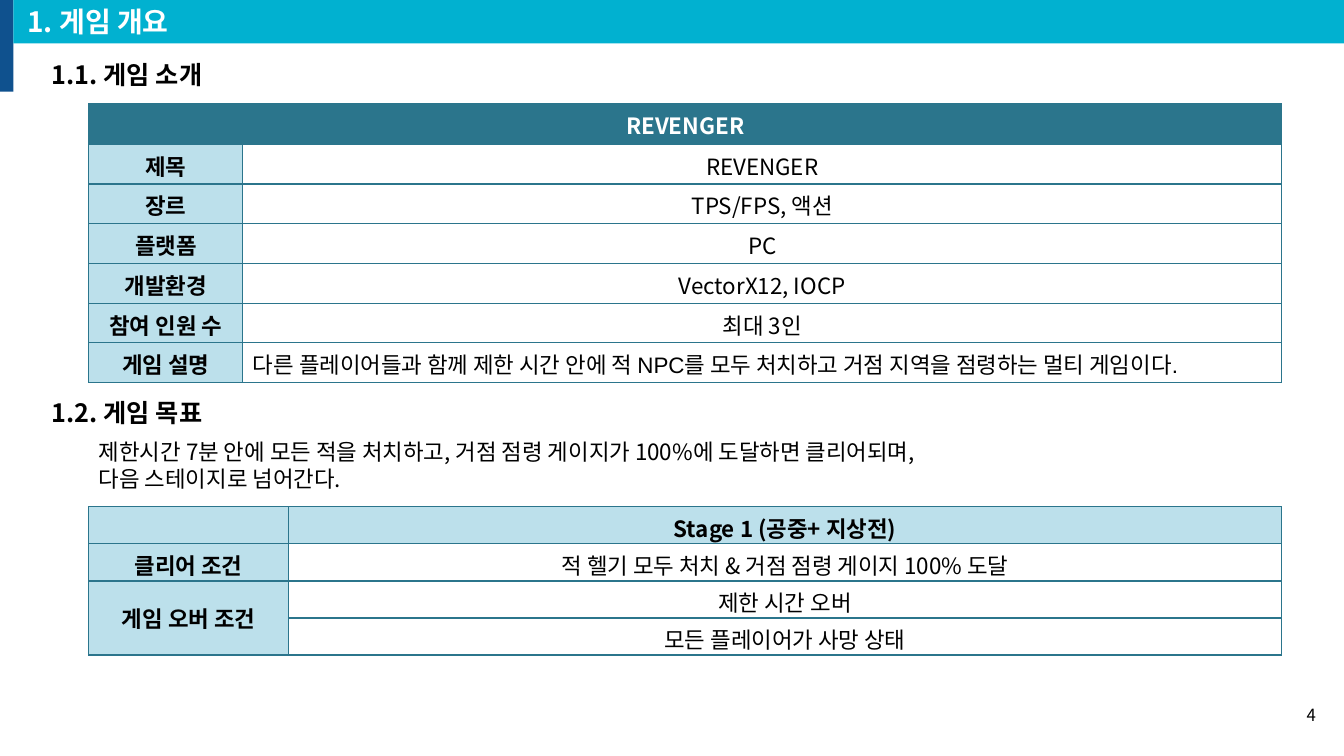
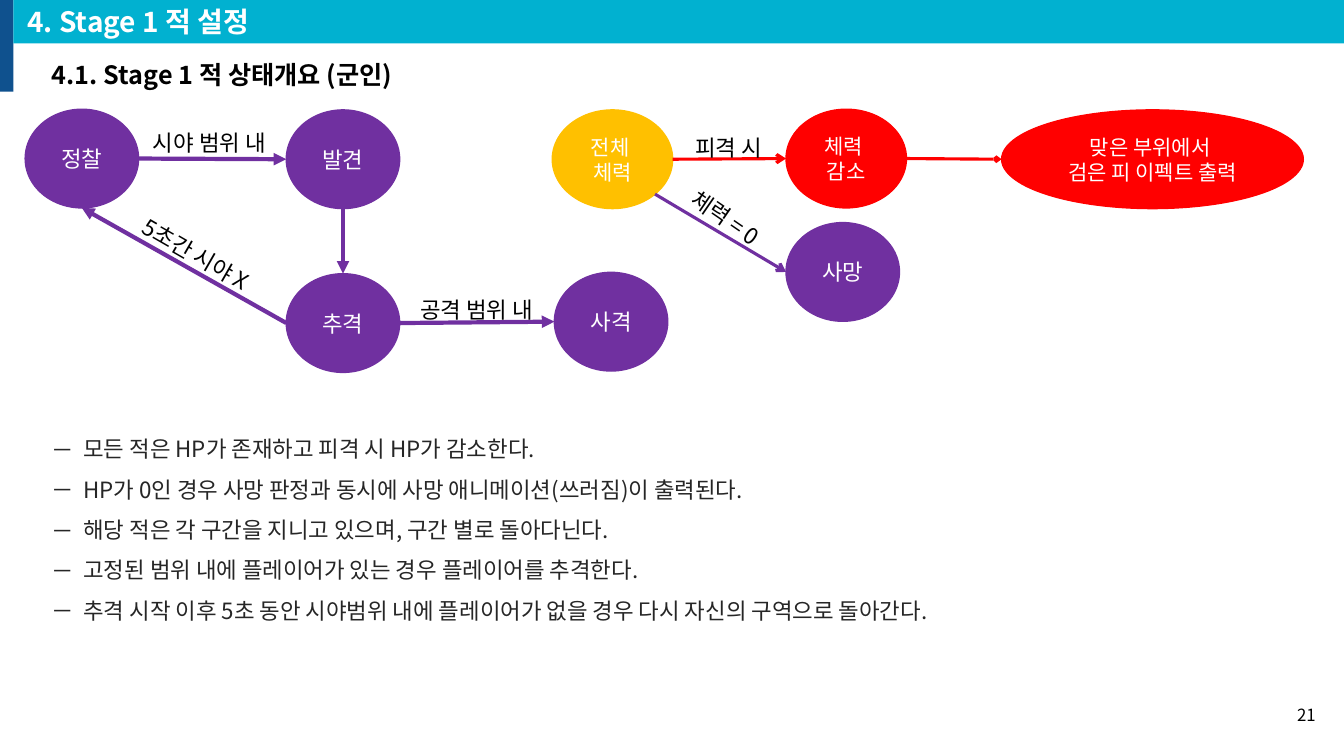
from dataclasses import dataclass
from math import sqrt
from typing import Optional

import lxml.etree
import pptx
import pptx.dml.color
import pptx.enum.shapes
import pptx.enum.text
import pptx.oxml.ns
import pptx.util

Pt = pptx.util.Pt
qn = pptx.oxml.ns.qn
ALIGN = pptx.enum.text.PP_ALIGN
ANCHOR = pptx.enum.text.MSO_ANCHOR
SHAPE = pptx.enum.shapes.MSO_SHAPE

FONT = "Noto Sans CJK KR"
COLORS = {
    "navy": "0F518E", "cyan": "01B1D0", "teal": "2B758C", "pale": "BCE0EB",
    "white": "FFFFFF", "black": "000000", "gray": "262626",
    "purple": "7030A0", "red": "FF0000", "amber": "FFC000",
}
WIDTH, HEIGHT = 960, 540
STRIPE_WIDTH = 9.5


@dataclass(frozen=True)
class Style:
    size: float = 16
    color: str = "black"
    bold: bool = False
    align: ALIGN = ALIGN.LEFT
    latin: str = FONT


@dataclass(frozen=True)
class Cell:
    text: str
    style: Style
    fill: str
    anchor: ANCHOR = ANCHOR.MIDDLE


@dataclass(frozen=True)
class Node:
    lines: tuple[str, ...]
    left: float
    top: float
    width: float = 81
    color: str = "purple"
    size: float = 16
    height: float = 70.5

    def point(self, side: str) -> tuple[float, float]:
        """Return a point on the outline of the ellipse."""
        diagonal = 1 / sqrt(2)
        x, y = {"left": (-1, 0), "right": (1, 0), "top": (0, -1), "bottom": (0, 1),
                "bottom right": (diagonal, diagonal)}[side]
        return (self.left + self.width * (1 + x) / 2,
                self.top + self.height * (1 + y) / 2)


@dataclass(frozen=True)
class Arrow:
    start: str
    start_side: str
    end: str
    end_side: str
    color: str = "purple"
    width: float = 3
    head: str = "triangle"
    head_size: str = "med"


@dataclass(frozen=True)
class Label:
    text: str
    left: float
    top: float
    width: float
    rotation: float = 0


TITLE = Style(20, "white", True)
HEADING = Style(18, bold=True)
BODY = Style()
CENTERED = Style(align=ALIGN.CENTER)
STRONG = Style(bold=True, align=ALIGN.CENTER)
TABLE_TITLE = Style(color="white", bold=True, align=ALIGN.CENTER)


def rgb(name: str) -> pptx.dml.color.RGBColor:
    return pptx.dml.color.RGBColor.from_string(COLORS[name])


# Text
def format_paragraph(paragraph, style: Style) -> None:
    paragraph.alignment = style.align
    font = paragraph.font
    font.size, font.bold, font.name = Pt(style.size), style.bold, style.latin
    font.color.rgb = rgb(style.color)
    defaults = paragraph._p.pPr.find(qn("a:defRPr"))
    lxml.etree.SubElement(defaults, qn("a:ea"), typeface=FONT)


def add_dash(paragraph, indent: float) -> None:
    properties = paragraph._p.get_or_add_pPr()
    properties.set("marL", str(Pt(indent)))
    properties.set("indent", str(-Pt(indent)))
    lxml.etree.SubElement(properties, qn("a:buFont"), typeface=FONT)
    lxml.etree.SubElement(properties, qn("a:buChar"), char="－")


def write(frame, lines: tuple[str, ...], style: Style, dashed: bool = False) -> None:
    for index, line in enumerate(lines):
        paragraph = frame.add_paragraph() if index else frame.paragraphs[0]
        paragraph.text = line
        if dashed:
            add_dash(paragraph, 22.5)
            paragraph.line_spacing = 1.5
        format_paragraph(paragraph, style)


def add_text(slide, lines: tuple[str, ...], left: float, top: float, width: float,
             height: float, style: Style, dashed: bool = False):
    shape = slide.shapes.add_textbox(Pt(left), Pt(top), Pt(width), Pt(height))
    shape.text_frame.word_wrap = True
    write(shape.text_frame, lines, style, dashed)
    return shape


# Shapes
def add_filled(slide, kind: SHAPE, left: float, top: float, width: float,
               height: float, color: str, outlined: bool = False):
    shape = slide.shapes.add_shape(kind, Pt(left), Pt(top), Pt(width), Pt(height))
    shape.shadow.inherit = False
    shape.fill.solid()
    shape.fill.fore_color.rgb = rgb(color)
    if outlined:
        shape.line.color.rgb = rgb(color)
        shape.line.width = Pt(1)
    else:
        shape.line.fill.background()
    return shape


def add_node(slide, node: Node) -> None:
    shape = add_filled(slide, SHAPE.OVAL, node.left, node.top, node.width,
                       node.height, node.color, outlined=True)
    write(shape.text_frame, node.lines, Style(node.size, "white", align=ALIGN.CENTER))


def add_arrow(slide, arrow: Arrow, nodes: dict[str, Node]) -> None:
    start = nodes[arrow.start].point(arrow.start_side)
    end = nodes[arrow.end].point(arrow.end_side)
    connector = slide.shapes.add_connector(
        pptx.enum.shapes.MSO_CONNECTOR.STRAIGHT, *map(Pt, start + end))
    connector.line.color.rgb = rgb(arrow.color)
    connector.line.width = Pt(arrow.width)
    lxml.etree.SubElement(connector.line._get_or_add_ln(), qn("a:tailEnd"),
                          type=arrow.head, w=arrow.head_size, len=arrow.head_size)
    lxml.etree.SubElement(connector._element.spPr, qn("a:effectLst"))


# Tables
def format_cell(target, cell: Cell) -> None:
    properties = target._tc.get_or_add_tcPr()
    for edge in ("a:lnL", "a:lnR", "a:lnT", "a:lnB"):
        line = lxml.etree.SubElement(properties, qn(edge), w=str(Pt(1)))
        fill = lxml.etree.SubElement(line, qn("a:solidFill"))
        lxml.etree.SubElement(fill, qn("a:srgbClr"), val=COLORS["teal"])
    target.fill.solid()
    target.fill.fore_color.rgb = rgb(cell.fill)
    target.vertical_anchor = cell.anchor
    write(target.text_frame, (cell.text,), cell.style)


def add_table(slide, top: float, columns: list[float], heights: list[float],
              rows: list[tuple[Cell, Cell]]):
    table = slide.shapes.add_table(len(rows), len(columns), Pt(63.5), Pt(top),
                                   Pt(sum(columns)), Pt(sum(heights))).table
    for column, width in zip(table.columns, columns):
        column.width = Pt(width)
    for index, (row, height) in enumerate(zip(rows, heights)):
        table.rows[index].height = Pt(height)
        for position, cell in enumerate(row):
            format_cell(table.cell(index, position), cell)
    return table


# Parts that every slide shares
def add_slide(presentation, title: str, number: int):
    slide = presentation.slides.add_slide(presentation.slide_layouts[6])
    add_filled(slide, SHAPE.RECTANGLE, 0, 0, STRIPE_WIDTH, 65.5, "navy")
    band = add_filled(slide, SHAPE.RECTANGLE, STRIPE_WIDTH, 0,
                      WIDTH - STRIPE_WIDTH, 31, "cyan")
    band.text_frame.margin_left = Pt(10)
    write(band.text_frame, (title,), TITLE)
    page = add_text(slide, (str(number),), 916, 496, 31, 29,
                    Style(12, align=ALIGN.RIGHT))
    page.text_frame.vertical_anchor = ANCHOR.MIDDLE
    return slide


def add_heading(slide, text: str, top: float = 39) -> None:
    add_text(slide, (text,), 30, top, 400, 29, HEADING)


# Game overview
def build_overview(presentation) -> None:
    slide = add_slide(presentation, "1. 게임 개요", 4)
    add_heading(slide, "1.1. 게임 소개")
    facts = [
        ("제목", "REVENGER"), ("장르", "TPS/FPS, 액션"), ("플랫폼", "PC"),
        ("개발환경", "VectorX12, IOCP"), ("참여 인원 수", "최대 3인"),
    ]
    description = ("다른 플레이어들과 함께 제한 시간 안에 적 NPC를 모두 처치하고 "
                   "거점 지역을 점령하는 멀티 게임이다.")
    rows = [(Cell("REVENGER", TABLE_TITLE, "teal", ANCHOR.TOP),
             Cell("", TABLE_TITLE, "teal"))]
    rows += [(Cell(name, STRONG, "pale"), Cell(value, CENTERED, "white", ANCHOR.TOP))
             for name, value in facts]
    rows.append((Cell("게임 설명", STRONG, "pale"),
                 Cell(description, Style(latin="Arial"), "white", ANCHOR.TOP)))
    table = add_table(slide, 74, [110, 742], [29] + [28.4] * 6, rows)
    table.cell(0, 0).merge(table.cell(0, 1))

    add_heading(slide, "1.2. 게임 목표", 280)
    add_text(slide, ("제한시간 7분 안에 모든 적을 처치하고, 거점 점령 게이지가 100%에 "
                     "도달하면 클리어되며,\v다음 스테이지로 넘어간다.",),
             63.5, 309.5, 663, 46, BODY)
    conditions = [
        ("클리어 조건", "적 헬기 모두 처치 & 거점 점령 게이지 100% 도달"),
        ("게임 오버 조건", "제한 시간 오버"), ("", "모든 플레이어가 사망 상태"),
    ]
    rows = [(Cell("", STRONG, "pale"), Cell("Stage 1 (공중+ 지상전)", STRONG, "pale"))]
    rows += [(Cell(name, STRONG, "pale"), Cell(value, CENTERED, "white"))
             for name, value in conditions]
    table = add_table(slide, 362, [142.5, 709.5], [26.5] * 4, rows)
    table.cell(2, 0).merge(table.cell(3, 0))


# Enemy states
def build_enemy_states(presentation) -> None:
    slide = add_slide(presentation, "4. Stage 1 적 설정", 21)
    add_heading(slide, "4.1. Stage 1 적 상태개요 (군인)")
    nodes = {
        "patrol": Node(("정찰",), 18, 78),
        "spot": Node(("발견",), 204.5, 78.5),
        "chase": Node(("추격",), 204.5, 195.5),
        "shoot": Node(("사격",), 396, 194.5),
        "health": Node(("전체 ", "체력"), 394.5, 78.5, 86, "amber", 15),
        "damage": Node(("체력 ", "감소"), 561.5, 78, 86, "red", 15),
        "death": Node(("사망",), 561.5, 159),
        "blood": Node(("맞은 부위에서 ", "검은 피 이펙트 출력"), 715.5, 78.5, 215.5,
                      "red", 15),
    }
    arrows = [
        Arrow("patrol", "right", "spot", "left"),
        Arrow("spot", "bottom", "chase", "top"),
        Arrow("chase", "right", "shoot", "left"),
        Arrow("chase", "left", "patrol", "bottom"),
        Arrow("health", "right", "damage", "left", "red", 2.25, "arrow"),
        Arrow("health", "bottom right", "death", "left", "purple", 2.25, "arrow"),
        Arrow("damage", "right", "blood", "left", "red", 2.25, "arrow", "sm"),
    ]
    labels = [
        Label("시야 범위 내", 94.5, 89, 110),
        Label("공격 범위 내", 285.5, 208, 110),
        Label("5초간 시야 X", 80.5, 168.5, 119, 30),
        Label("피격 시", 479.5, 92, 82),
        Label("체력 = 0", 466, 142, 105, 34.5),
    ]
    for node in nodes.values():
        add_node(slide, node)
    for arrow in arrows:
        add_arrow(slide, arrow, nodes)
    for label in labels:
        box = add_text(slide, (label.text,), label.left, label.top, label.width,
                       26.5, CENTERED)
        box.rotation = label.rotation
    rules = (
        "모든 적은 HP가 존재하고 피격 시 HP가 감소한다.",
        "HP가 0인 경우 사망 판정과 동시에 사망 애니메이션(쓰러짐)이 출력된다.",
        "해당 적은 각 구간을 지니고 있으며, 구간 별로 돌아다닌다.",
        "고정된 범위 내에 플레이어가 있는 경우 플레이어를 추격한다.",
        "추격 시작 이후 5초 동안 시야범위 내에 플레이어가 없을 경우 "
        "다시 자신의 구역으로 돌아간다.",
    )
    add_text(slide, rules, 30, 298, 893.5, 149, Style(color="gray"), dashed=True)


def main() -> None:
    presentation = pptx.Presentation()
    presentation.slide_width, presentation.slide_height = Pt(WIDTH), Pt(HEIGHT)
    build_overview(presentation)
    build_enemy_states(presentation)
    presentation.save("out.pptx")


if __name__ == "__main__":
    main()
